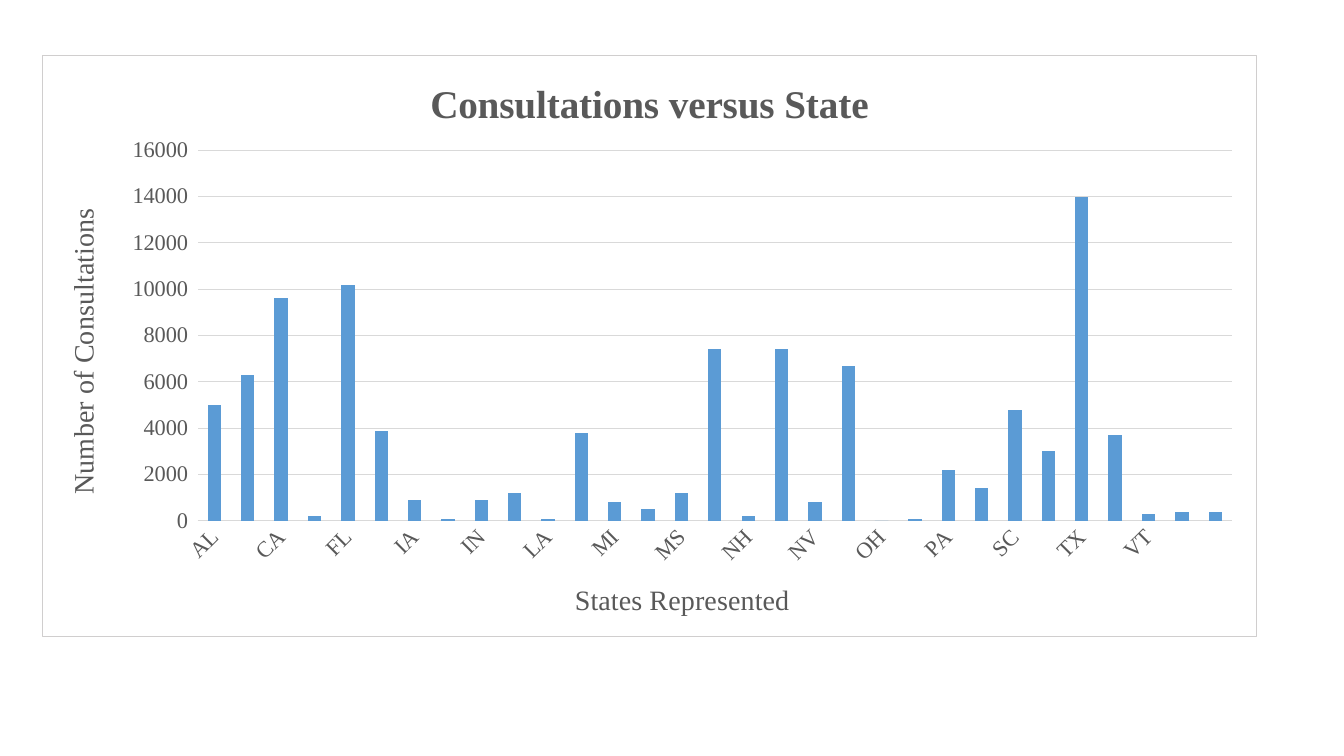
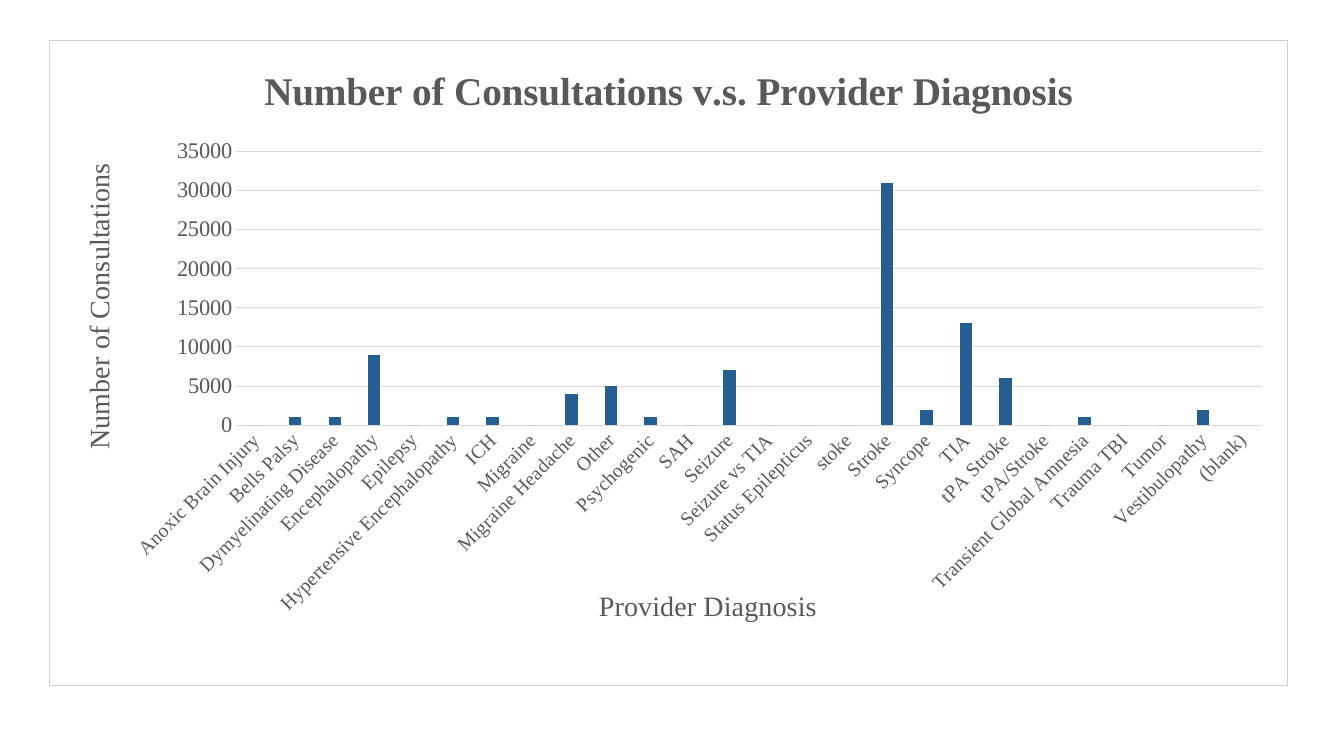
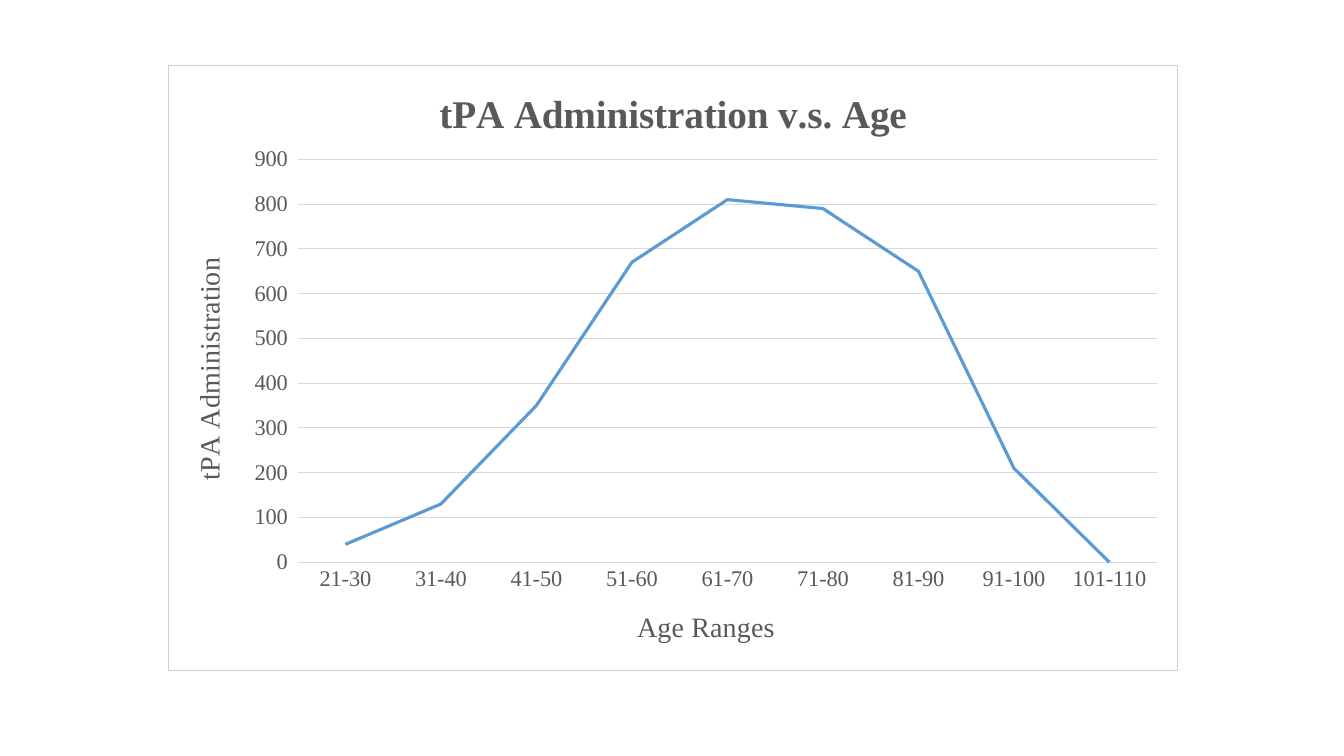
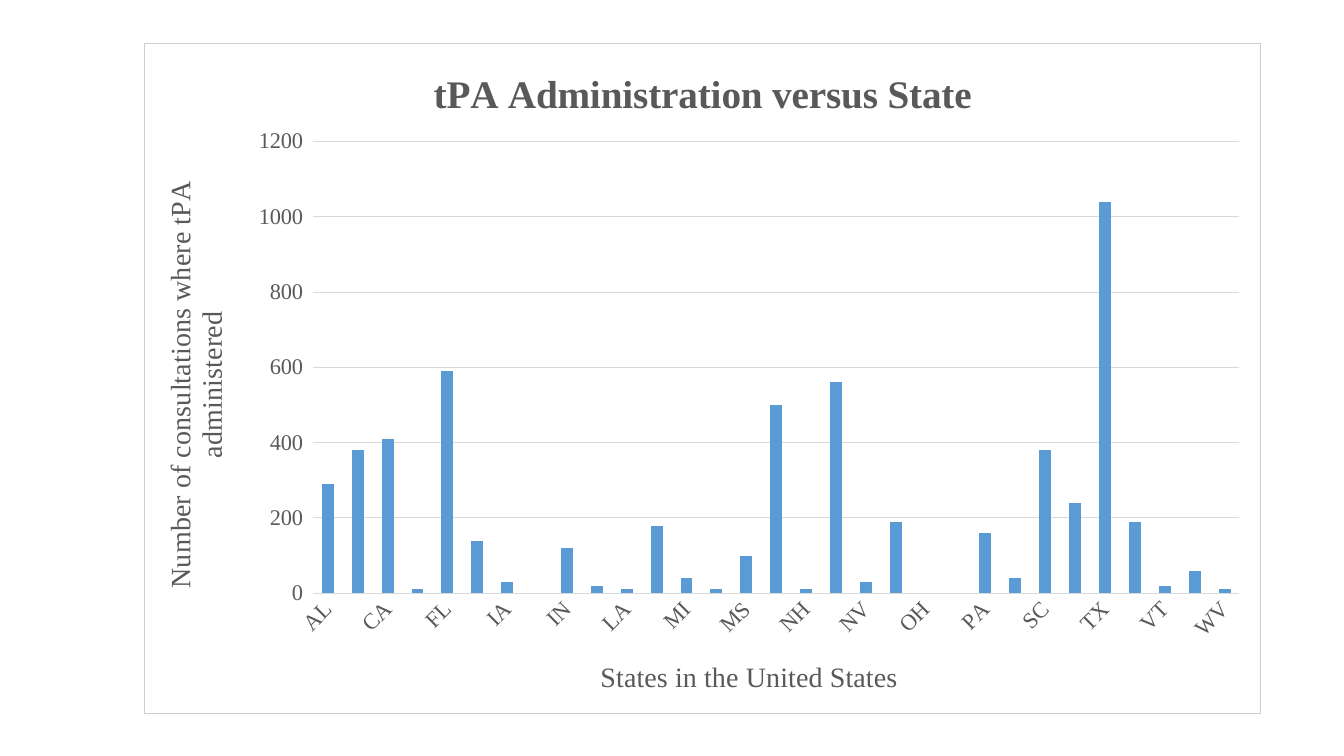
from lxml import etree
from pptx import Presentation
from pptx.chart.data import CategoryChartData
from pptx.dml.color import RGBColor
from pptx.enum.chart import XL_CHART_TYPE, XL_MARKER_STYLE, XL_TICK_MARK
from pptx.oxml import parse_xml
from pptx.oxml.ns import nsdecls, qn
from pptx.util import Inches, Pt

COLUMN = XL_CHART_TYPE.COLUMN_CLUSTERED
LINE = XL_CHART_TYPE.LINE
NO_MARKER = XL_MARKER_STYLE.NONE
TICK_NONE = XL_TICK_MARK.NONE
TICK_OUT = XL_TICK_MARK.OUTSIDE

FONT = "Times New Roman"
TEXT = "595959"
GRID = "D9D9D9"
BORDER = "D0CECE"
BLUE = "5B9BD5"
DARK_BLUE = "255E91"
AUTO_ROTATION = -60000000
SLANTED = -45 * 60000

STATES = ("AL AZ CA CO FL GA IA IL IN KY LA MA MI MO MS NC NH NJ NV NY "
          "OH OK PA RI SC TN TX VA VT WI").split()
DIAGNOSES = [
    "Anoxic Brain Injury", "Bells Palsy", "Dymyelinating Disease",
    "Encephalopathy", "Epilepsy", "Hypertensive Encephalopathy", "ICH",
    "Migraine", "Migraine Headache", "Other", "Psychogenic", "SAH", "Seizure",
    "Seizure vs TIA", "Status Epilepticus", "stoke", "Stroke", "Syncope",
    "TIA", "tPA Stroke", "tPA/Stroke", "Transient Global Amnesia",
    "Trauma TBI", "Tumor", "Vestibulopathy", "(blank)",
]
AGES = [f"{start}-{start + 9}" for start in range(21, 102, 10)]

# Boxes are left, top, width and height on the slide, in inches.
CHARTS = [
    {
        "title": "Consultations versus State",
        "category_title": "States Represented",
        "value_title": "Number of Consultations",
        "box": (0.42, 0.55, 12.04, 5.76),
        "plot_box": (1.96, 1.49, 10.26, 3.68),
        "scale": (16000, 2000),
        "categories": STATES + [""],
        "values": [5000, 6300, 9600, 200, 10200, 3900, 900, 100, 900, 1200,
                   100, 3800, 800, 500, 1200, 7400, 200, 7400, 800, 6700, 0,
                   100, 2200, 1400, 4800, 3000, 14000, 3700, 300, 400, 400],
    },
    {
        "title": "Number of Consultations v.s. Provider Diagnosis",
        "category_title": "Provider Diagnosis",
        "value_title": "Number of Consultations",
        "box": (0.49, 0.4, 12.28, 6.4),
        "plot_box": (2.34, 1.5, 10.18, 2.72),
        "scale": (35000, 5000),
        "categories": DIAGNOSES,
        "values": [0, 1000, 1000, 9000, 0, 1000, 1000, 0, 4000, 5000, 1000, 0,
                   7000, 0, 0, 0, 31000, 2000, 13000, 6000, 0, 1000, 0, 0,
                   2000, None],
        "color": DARK_BLUE,
        "gap_width": 219,
        "overlap": -27,
        "category_size": 14,
        "rotation": SLANTED,
        "value_tick": TICK_NONE,
        "category_title_at": (5.89, 5.78),
        "value_title_at": (0.75, 1.57),
    },
    {
        "title": "tPA Administration v.s. Age",
        "category_title": "Age Ranges",
        "value_title": "tPA Administration",
        "box": (1.67, 0.64, 10.01, 6.01),
        "plot_box": (2.95, 1.58, 8.53, 4),
        "scale": (900, 100),
        "categories": AGES,
        "values": [40, 130, 350, 670, 810, 790, 650, 210, 0],
        "kind": LINE,
    },
    {
        "title": "tPA Administration versus State",
        "category_title": "States in the United States",
        "value_title": "Number of consultations where tPA administered",
        "box": (1.43, 0.43, 11.08, 6.65),
        "plot_box": (3.1, 1.4, 9.2, 4.49),
        "scale": (1200, 200),
        "categories": STATES + ["WV"],
        "values": [290, 380, 410, 10, 590, 140, 30, None, 120, 20, 10, 180,
                   40, 10, 100, 500, 10, 560, 30, 190, None, None, 160, 40,
                   380, 240, 1040, 190, 20, 60, 10],
        "border_width": 0.75,
    },
]


def rgb(color):
    return RGBColor.from_string(color)


def set_attributes(target, formats):
    for name, value in formats.items():
        setattr(target, name, value)


def style_font(font, size, bold=False):
    set_attributes(font, {"name": FONT, "size": Pt(size), "bold": bold})
    font.color.rgb = rgb(TEXT)


def style_line(line, color, width):
    line.color.rgb = rgb(color)
    line.width = Pt(width)


def write_title(title, text, size, bold=False):
    """Fill a chart title or an axis title."""
    paragraph = title.text_frame.paragraphs[0]
    run = paragraph.add_run()
    run.text = text
    style_font(run.font, size, bold)


def place(element, chart_box, box, inner=False):
    """Fix the place of a title or plot area, as fractions of the chart."""
    left, top, width, height = chart_box
    fractions = {"x": (box[0] - left) / width, "y": (box[1] - top) / height}
    if len(box) == 4:
        fractions.update(w=box[2] / width, h=box[3] / height)
    layout = element.find(qn("c:layout"))
    if layout is None:
        layout = etree.Element(qn("c:layout"))
        text = element.find(qn("c:tx"))
        element.insert(0 if text is None else 1, layout)
    manual = etree.SubElement(layout, qn("c:manualLayout"))
    if inner:
        etree.SubElement(manual, qn("c:layoutTarget"), val="inner")
    for name in ("x", "y"):
        etree.SubElement(manual, qn(f"c:{name}Mode"), val="edge")
    for name, value in fractions.items():
        etree.SubElement(manual, qn(f"c:{name}"), val=f"{value:.4f}")


def add_border(chart, width):
    """Give the chart area a white fill, a thin line and square corners."""
    space = chart.element
    if space.find(qn("c:roundedCorners")) is None:
        corners = etree.Element(qn("c:roundedCorners"), val="0")
        space.find(qn("c:date1904")).addnext(corners)
    space.find(qn("c:chart")).addnext(parse_xml(
        f'<c:spPr {nsdecls("c", "a")}>'
        '<a:solidFill><a:srgbClr val="FFFFFF"/></a:solidFill>'
        f'<a:ln w="{Pt(width)}"><a:solidFill><a:srgbClr val="{BORDER}"/>'
        '</a:solidFill></a:ln></c:spPr>'))


def style_category_axis(axis, title, size, rotation):
    axis.major_tick_mark = TICK_NONE
    axis.has_major_gridlines = False
    style_line(axis.format.line, GRID, 0.75)
    style_font(axis.tick_labels.font, size)
    body = axis._element.find(qn("c:txPr")).find(qn("a:bodyPr"))
    body.set("rot", str(rotation))
    body.set("vert", "horz")
    write_title(axis.axis_title, title, 20)


def style_value_axis(axis, title, scale, tick):
    maximum, step = scale
    set_attributes(axis, {
        "minimum_scale": 0, "maximum_scale": maximum, "major_unit": step,
        "major_tick_mark": tick, "has_major_gridlines": True})
    style_line(axis.major_gridlines.format.line, GRID, 0.75)
    axis.format.line.fill.background()
    style_font(axis.tick_labels.font, 16)
    write_title(axis.axis_title, title, 20)


def style_series(plot, kind, color, gap_width, overlap):
    series = plot.series[0]
    plot.vary_by_categories = False
    if kind == LINE:
        series.smooth = False
        series.marker.style = NO_MARKER
        style_line(series.format.line, color, 2.25)
    else:
        set_attributes(plot, {"gap_width": gap_width, "overlap": overlap})
        series.format.fill.solid()
        series.format.fill.fore_color.rgb = rgb(color)


def add_chart(slide, title, category_title, value_title, box, plot_box, scale,
              categories, values, kind=COLUMN, color=BLUE, gap_width=150,
              overlap=0, category_size=16, rotation=AUTO_ROTATION,
              value_tick=TICK_OUT, category_title_at=None,
              value_title_at=None, border_width=0.25):
    data = CategoryChartData()
    data.categories = categories
    data.add_series("Series 1", values)
    chart = slide.shapes.add_chart(kind, *map(Inches, box), data).chart
    chart.has_legend = False
    set_attributes(chart.font, {"name": "Calibri", "size": Pt(10)})
    write_title(chart.chart_title, title, 28, bold=True)
    style_category_axis(chart.category_axis, category_title, category_size,
                        rotation)
    style_value_axis(chart.value_axis, value_title, scale, value_tick)
    style_series(chart.plots[0], kind, color, gap_width, overlap)
    add_border(chart, border_width)

    plot_area = chart.category_axis._element.getparent()
    place(plot_area, box, plot_box, inner=True)
    for axis, position in ((chart.category_axis, category_title_at),
                           (chart.value_axis, value_title_at)):
        if position:
            place(axis._element.find(qn("c:title")), box, position)


def main():
    presentation = Presentation()
    presentation.slide_width = Inches(13.33)
    presentation.slide_height = Inches(7.5)
    blank_layout = presentation.slide_layouts[6]
    for chart in CHARTS:
        add_chart(presentation.slides.add_slide(blank_layout), **chart)
    presentation.save("out.pptx")


if __name__ == "__main__":
    main()
